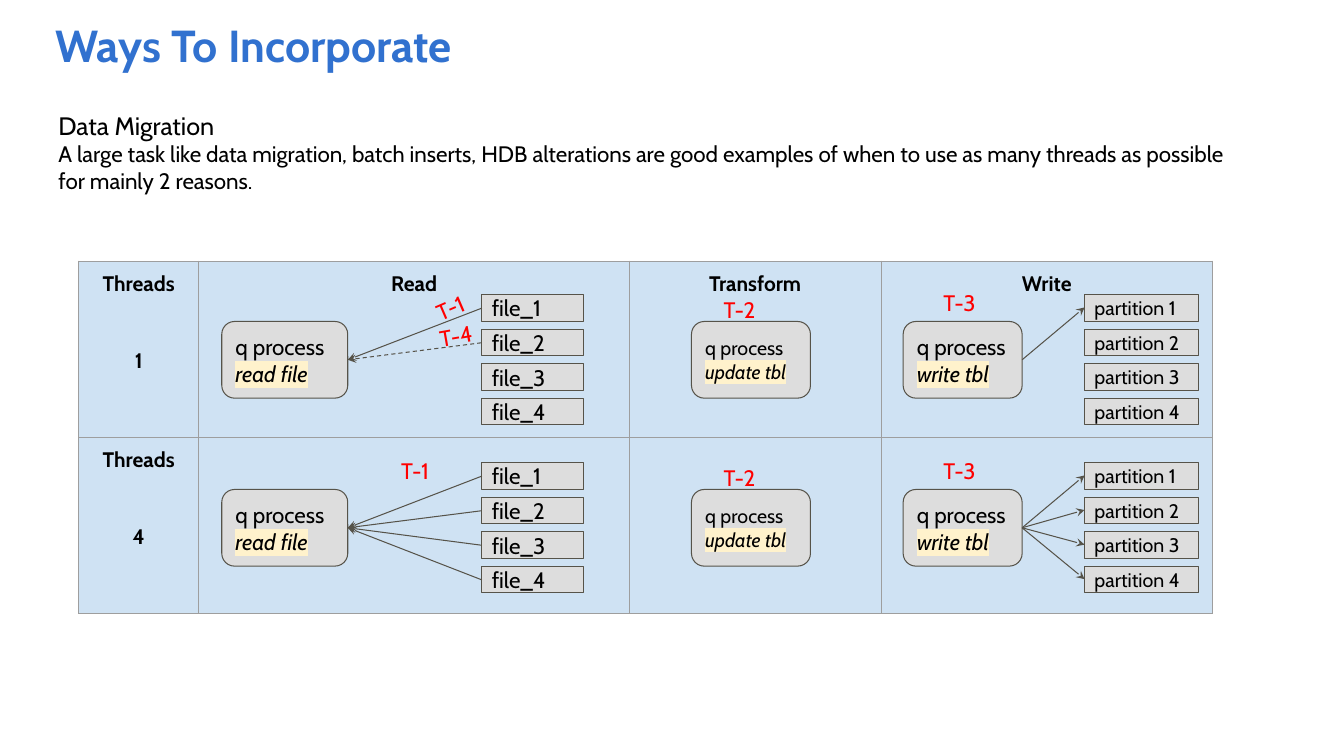
from dataclasses import dataclass

from lxml import etree
from pptx import Presentation
from pptx import util as u
from pptx.dml.color import RGBColor
from pptx.enum import dml, shapes, text
from pptx.oxml.ns import qn

Pt = u.Pt


@dataclass(frozen=True)
class Theme:
    font: str = "Cabin"
    blue: str = "3171CF"
    black: str = "000000"
    red: str = "FF0000"
    cell: str = "CFE2F3"
    grid: str = "9E9E9E"
    box: str = "DDDDDD"
    line: str = "565349"
    mark: str = "FFF2CC"
    title: int = 32
    lead: int = 18
    body: int = 16
    head: int = 15
    small: int = 14
    thin: float = 0.75


def rgb(code):
    return RGBColor.from_string(code)


def add_color(parent, tag, code):
    """Append a DrawingML element that holds one sRGB colour."""
    node = etree.SubElement(parent, qn(tag))
    etree.SubElement(node, qn("a:srgbClr")).set("val", code)
    return node


class Board:
    def __init__(self, slide, theme):
        self.slide = slide
        self.theme = theme

    def say(self, frame, words, size=None, color=None, bold=False,
            italic=False, mark=None, align=None, gap=0, pitch=None):
        """Add one paragraph, filling the first one if it is still empty."""
        look = self.theme
        para = frame.paragraphs[0]
        if para.runs:
            para = frame.add_paragraph()
        para.alignment = align or text.PP_ALIGN.LEFT
        para.space_before = Pt(gap)
        if pitch:
            para.line_spacing = pitch
        run = para.add_run()
        run.text = words
        font = run.font
        font.size = Pt(size or look.body)
        font.bold = bold
        font.italic = italic
        font.color.rgb = rgb(color or look.black)
        font.name = look.font
        if mark:
            props = run._r.get_or_add_rPr()
            props.find(qn("a:latin")).addprevious(add_color(props, "a:highlight", mark))

    def pad(self, frame, side=7.2, edge=7.2):
        frame.margin_left = frame.margin_right = Pt(side)
        frame.margin_top = frame.margin_bottom = Pt(edge)
        frame.word_wrap = True

    def text(self, x, y, w, h, turn=0, grow=True):
        """Add an empty text box and return its frame."""
        box = self.slide.shapes.add_textbox(Pt(x), Pt(y), Pt(w), Pt(h))
        box.rotation = turn
        frame = box.text_frame
        self.pad(frame)
        if grow:
            frame.auto_size = text.MSO_AUTO_SIZE.SHAPE_TO_FIT_TEXT
        return frame

    def label(self, words, x, y, w=42, turn=0):
        self.say(self.text(x, y, w, 33.8, turn), words, color=self.theme.red)

    def box(self, kind, x, y, w, h):
        """Add a grey box and return its empty text frame."""
        look = self.theme
        shape = self.slide.shapes.add_shape(kind, Pt(x), Pt(y), Pt(w), Pt(h))
        shape.shadow.inherit = False
        shape.fill.solid()
        shape.fill.fore_color.rgb = rgb(look.box)
        shape.line.color.rgb = rgb(look.line)
        shape.line.width = Pt(look.thin)
        frame = shape.text_frame
        self.pad(frame)
        frame.vertical_anchor = text.MSO_ANCHOR.MIDDLE
        return frame

    def process(self, task, x, y, w, size):
        frame = self.box(shapes.MSO_SHAPE.ROUNDED_RECTANGLE, x, y, w, 54.8)
        self.say(frame, "q process", size=size)
        self.say(frame, task, size=size, italic=True, mark=self.theme.mark)

    def stack(self, stem, x, tops, w, size):
        for num, top in enumerate(tops, 1):
            frame = self.box(shapes.MSO_SHAPE.RECTANGLE, x, top, w, 19)
            self.say(frame, f"{stem}{num}", size=size)

    def arrow(self, tip, tail, dash=False):
        line = self.slide.shapes.add_connector(
            shapes.MSO_CONNECTOR.STRAIGHT, *(Pt(v) for v in tip + tail))
        line.line.color.rgb = rgb(self.theme.line)
        line.line.width = Pt(self.theme.thin)
        if dash:
            line.line.dash_style = dml.MSO_LINE.DASH
        props = line._element.spPr
        head = etree.SubElement(props.find(qn("a:ln")), qn("a:headEnd"))
        head.set("type", "stealth")
        etree.SubElement(props, qn("a:effectLst"))

    def edge(self, cell):
        """Draw all four borders of a table cell."""
        props = cell._tc.get_or_add_tcPr()
        for spot, side in enumerate("LRTB"):
            line = etree.Element(qn(f"a:ln{side}"))
            line.set("w", str(Pt(self.theme.thin)))
            add_color(line, "a:solidFill", self.theme.grid)
            props.insert(spot, line)

    def table(self, x, y, widths, heights, cells):
        """Add a table; each cell is a list of centred bold lines."""
        look = self.theme
        grid = self.slide.shapes.add_table(
            len(heights), len(widths), Pt(x), Pt(y),
            Pt(sum(widths)), Pt(sum(heights))).table
        for col, wide in zip(grid.columns, widths):
            col.width = Pt(wide)
        for row, high, line in zip(grid.rows, heights, cells):
            row.height = Pt(high)
            for cell, words in zip(row.cells, line):
                self.pad(cell)
                cell.fill.solid()
                cell.fill.fore_color.rgb = rgb(look.cell)
                self.edge(cell)
                for num, word in enumerate(words):
                    self.say(cell.text_frame, word, size=look.head, bold=True,
                             align=text.PP_ALIGN.CENTER, gap=36.5 * num)

    def flow(self, top, reads, writes, dashed=()):
        """Draw one row: read, transform and write, with its active threads."""
        look = self.theme
        tops = [top + 24.7 * num for num in range(4)]
        mid = top + 46.5
        self.stack("file_", 344.2, tops, 72.8, look.body)
        self.process("read file", 158.4, top + 19.1, 90, look.body)
        self.process("update tbl", 493.9, top + 19.1, 85, look.small)
        self.process("write tbl", 645.1, top + 19.1, 85, look.body)
        self.stack("partition ", 774.7, tops, 81.4, look.small)
        for num in range(reads):
            self.arrow((248.4, mid), (344.2, tops[num] + 9.6), num in dashed)
        for num in range(writes):
            self.arrow((774.7, tops[num] + 9.1), (730.1, mid))
        self.label("T-2", 509.8, top - 6)
        self.label("T-3", 666.7, top - 11)


def main():
    deck = Presentation()
    deck.slide_width, deck.slide_height = Pt(960), Pt(540)
    look = Theme()
    board = Board(deck.slides.add_slide(deck.slide_layouts[6]), look)

    title = board.text(34.6, 16.6, 504, 36, grow=False)
    board.pad(title, 5, 2.9)
    title.vertical_anchor = text.MSO_ANCHOR.MIDDLE
    board.say(title, "Ways To Incorporate", size=look.title,
              color=look.blue, bold=True, pitch=0.9)

    intro = board.text(34.6, 71.3, 854, 74.9)
    board.say(intro, "Data Migration", size=look.lead)
    board.say(intro, "A large task like data migration, batch inserts, HDB "
              "alterations are good examples of when to use as many threads "
              "as possible for mainly 2 reasons.")

    board.table(56.2, 186.5, [85.7, 307.7, 179.7, 236.9], [126, 126], [
        [["Threads", "1"], ["Read"], ["Transform"], ["Write"]],
        [["Threads", "4"], [], [], []],
    ])

    board.flow(210.5, reads=2, writes=1, dashed=(1,))
    board.label("T-1", 303.8, 199.5, w=51, turn=336.7)
    board.label("T-4", 306.7, 221, w=59, turn=349.9)
    board.flow(330.5, reads=4, writes=4)
    board.label("T-1", 279.4, 319.5)

    deck.save("out.pptx")


if __name__ == "__main__":
    main()
